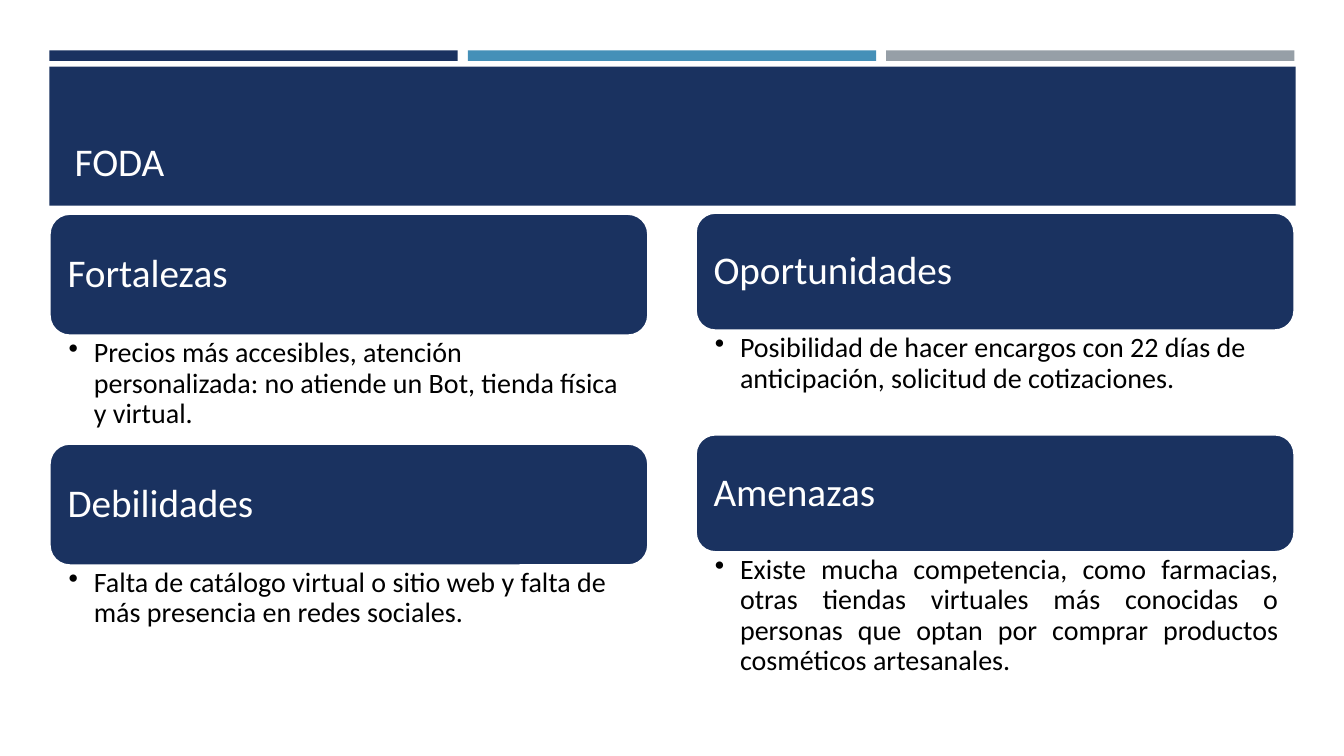
from dataclasses import dataclass

from lxml import etree
from pptx import Presentation
from pptx import util as u
from pptx.dml.color import RGBColor
from pptx.enum import shapes, text
from pptx.oxml.ns import qn


@dataclass(frozen=True)
class Theme:
    navy: str = "1A3260"
    blue: str = "4590B8"
    grey: str = "969FA7"
    white: str = "FFFFFF"
    black: str = "000000"
    font: str = "Calibri"
    heading_size: int = 28
    body_size: int = 20
    outline: float = 1.75


@dataclass(frozen=True)
class Frame:
    """A rectangle in percent of the slide's width and height."""
    left: float
    top: float
    width: float
    height: float


@dataclass(frozen=True)
class Topic:
    heading: str
    body: str
    justified: bool = False


@dataclass(frozen=True)
class Column:
    left: float
    top: float
    heading_height: float
    body_height: float
    topics: tuple[Topic, ...]


THEME = Theme()
LEFT = 3.68
BAR_WIDTH, BAR_PITCH = 30.38, 31.13
COLUMN_WIDTH = 44.56
BULLET_INDENT = u.Inches(0.25)

COLUMNS = (
    Column(LEFT, 28.27, 16.13, 14.27, (
        Topic("Fortalezas", "Precios más accesibles, atención personalizada: "
              "no atiende un Bot, tienda física y virtual."),
        Topic("Debilidades", "Falta de catálogo virtual o sitio web y falta de "
              "más presencia en redes sociales."),
    )),
    Column(51.76, 28.13, 15.6, 13.73, (
        Topic("Oportunidades", "Posibilidad de hacer encargos con 22 días de "
              "anticipación, solicitud de cotizaciones."),
        Topic("Amenazas", "Existe mucha competencia, como farmacias, otras tiendas "
              "virtuales más conocidas o personas que optan por comprar productos "
              "cosméticos artesanales.", justified=True),
    )),
)

deck = Presentation()
deck.slide_width, deck.slide_height = u.Inches(13.33), u.Inches(7.5)
page = deck.slides.add_slide(deck.slide_layouts[6])


def place(frame: Frame) -> tuple[int, int, int, int]:
    """Turn percentages into slide lengths."""
    wide, high = deck.slide_width / 100, deck.slide_height / 100
    return (round(frame.left * wide), round(frame.top * high),
            round(frame.width * wide), round(frame.height * high))


def add_block(kind, frame: Frame, fill: str, outline: str | None = None):
    block = page.shapes.add_shape(kind, *place(frame))
    block.shadow.inherit = False
    block.fill.solid()
    block.fill.fore_color.rgb = RGBColor.from_string(fill)
    if outline:
        block.line.color.rgb = RGBColor.from_string(outline)
        block.line.width = u.Pt(THEME.outline)
    else:
        block.line.fill.background()
    return block


def write(box, words: str, size: int, color: str, anchor, insets: tuple[float, ...],
          align=text.PP_ALIGN.LEFT, spacing: float = 0.9, bullet: bool = False) -> None:
    """Fill a shape with one paragraph; insets are left, top, right, bottom in inches."""
    frame = box.text_frame
    frame.word_wrap = True
    frame.vertical_anchor = anchor
    (frame.margin_left, frame.margin_top,
     frame.margin_right, frame.margin_bottom) = map(u.Inches, insets)
    para = frame.paragraphs[0]
    para.text = words
    para.alignment = align
    para.line_spacing = spacing
    if bullet:
        properties = para._p.get_or_add_pPr()
        properties.set("marL", str(BULLET_INDENT))
        properties.set("indent", str(-BULLET_INDENT))
        etree.SubElement(properties, qn("a:buChar")).set("char", "•")
    para.font.name = THEME.font
    para.font.size = u.Pt(size)
    para.font.color.rgb = RGBColor.from_string(color)


def draw_banner() -> None:
    for index, color in enumerate((THEME.navy, THEME.blue, THEME.grey)):
        bar = Frame(LEFT + index * BAR_PITCH, 6.67, BAR_WIDTH, 1.4)
        add_block(shapes.MSO_SHAPE.RECTANGLE, bar, color)
    banner = add_block(shapes.MSO_SHAPE.RECTANGLE, Frame(LEFT, 8.8, 92.72, 18.4), THEME.navy)
    write(banner, "FODA", THEME.heading_size, THEME.white, text.MSO_ANCHOR.BOTTOM,
          (0.25, 0.14, 0.25, 0.21), spacing=1.0)


def draw_column(column: Column) -> None:
    pitch = column.heading_height + column.body_height
    for row, topic in enumerate(column.topics):
        top = column.top + row * pitch
        heading = add_block(shapes.MSO_SHAPE.ROUNDED_RECTANGLE,
                            Frame(column.left, top, COLUMN_WIDTH, column.heading_height),
                            THEME.navy, THEME.white)
        write(heading, topic.heading, THEME.heading_size, THEME.white,
              text.MSO_ANCHOR.MIDDLE, (0.12,) * 4)
        body = page.shapes.add_textbox(*place(Frame(
            column.left, top + column.heading_height, COLUMN_WIDTH, column.body_height)))
        align = text.PP_ALIGN.JUSTIFY if topic.justified else text.PP_ALIGN.LEFT
        write(body, topic.body, THEME.body_size, THEME.black, text.MSO_ANCHOR.TOP,
              (0.19, 0.03, 0.16, 0.03), align, bullet=True)


def main() -> None:
    draw_banner()
    for column in COLUMNS:
        draw_column(column)
    deck.save("out.pptx")


if __name__ == "__main__":
    main()
